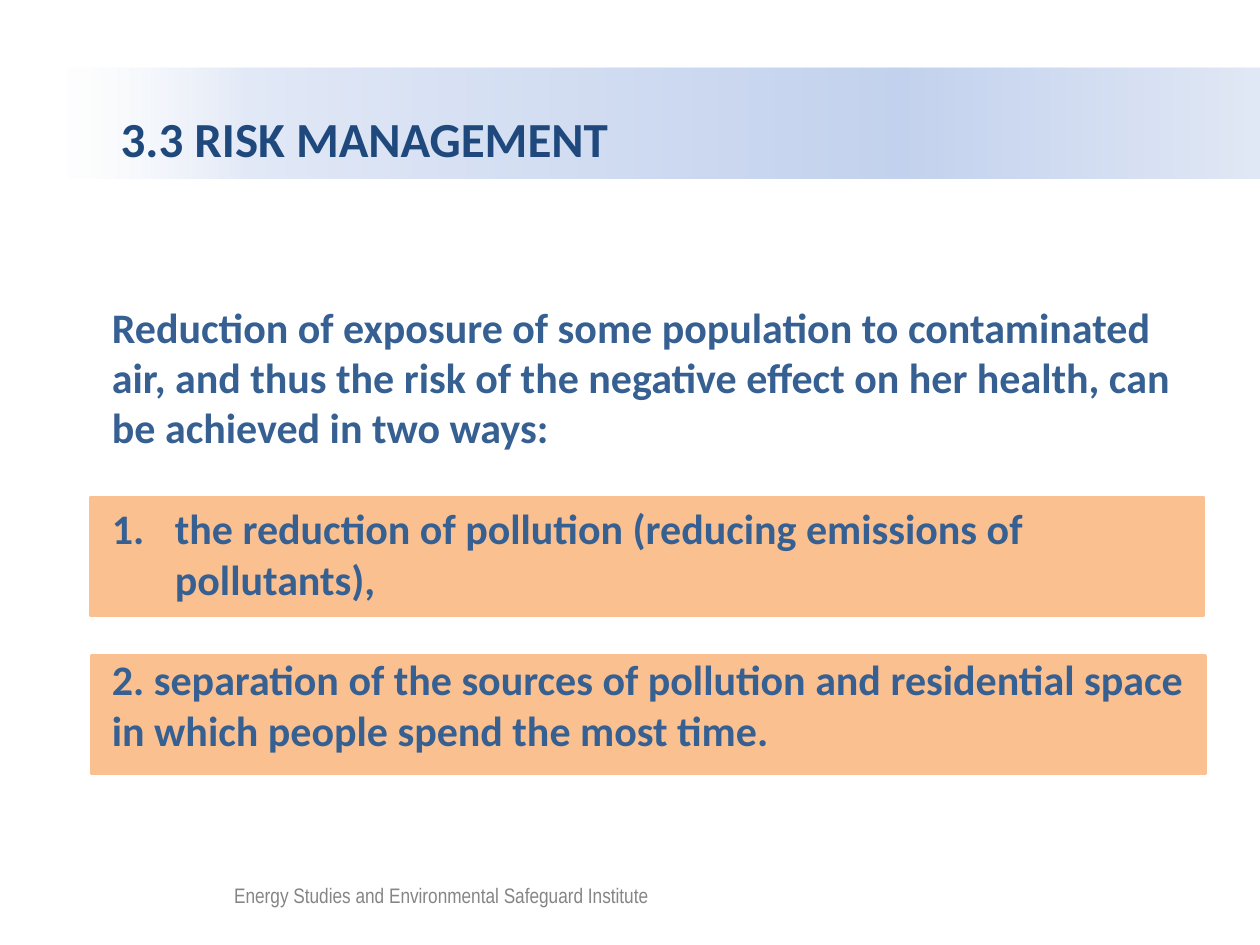
from dataclasses import dataclass

from lxml import etree
from pptx import Presentation
from pptx.dml.color import RGBColor
from pptx.enum import shapes, text
from pptx.oxml.ns import qn
from pptx.util import Pt


@dataclass(frozen=True)
class Theme:
    title_color: str = "1F497D"
    body_color: str = "376092"
    footer_color: str = "000000"
    highlight: str = "FAC090"
    veil: str = "FFFFFF"
    # position %, colour, opacity %
    banner: tuple = ((0, "FFFFFF", 52), (16, "E1E8F6", 100),
                     (70, "C2D1ED", 100), (100, "E1E8F5", 100))
    font: str = "Calibri"
    footer_font: str = "Arial Narrow"
    title_size: int = 28
    body_size: int = 24
    footer_size: int = 12


def set_opacity(color_element, percent):
    alpha = etree.SubElement(color_element, qn("a:alpha"))
    alpha.set("val", str(percent * 1000))


def write(paragraph, wording, *, font, size, color, bold=False,
          before=0, line_spacing=None, numbered=False):
    paragraph.alignment = text.PP_ALIGN.LEFT
    paragraph.space_before = Pt(before)
    if line_spacing:
        paragraph.line_spacing = line_spacing
    if numbered:
        properties = paragraph._p.get_or_add_pPr()
        properties.set("marL", str(Pt(36)))
        properties.set("indent", str(-Pt(36)))
        number = etree.SubElement(properties, qn("a:buAutoNum"))
        number.set("type", "arabicPeriod")
    run = paragraph.add_run()
    run.text = wording
    run.font.name = font
    run.font.size = Pt(size)
    run.font.bold = bold
    run.font.color.rgb = RGBColor.from_string(color)


class SlideBuilder:
    def __init__(self, slide, theme):
        self.slide = slide
        self.theme = theme

    def title(self, wording, left, top, width, height):
        banner = self.slide.shapes.title
        banner.left, banner.top = Pt(left), Pt(top)
        banner.width, banner.height = Pt(width), Pt(height)
        self.fade(banner)
        frame = banner.text_frame
        frame.margin_left = Pt(33)
        frame.vertical_anchor = text.MSO_ANCHOR.MIDDLE
        frame.auto_size = text.MSO_AUTO_SIZE.NONE
        write(frame.paragraphs[0], wording, font=self.theme.font,
              size=self.theme.title_size, color=self.theme.title_color,
              bold=True, line_spacing=1.5)

    def fade(self, banner):
        """Fill the banner with the theme's left-to-right gradient."""
        banner.fill.gradient()
        banner.fill.gradient_angle = 0
        stops = banner._element.spPr.find(qn("a:gradFill")).find(qn("a:gsLst"))
        for stop in list(stops):
            stops.remove(stop)
        for position, color, opacity in self.theme.banner:
            stop = etree.SubElement(stops, qn("a:gs"), pos=str(position * 1000))
            tint = etree.SubElement(stop, qn("a:srgbClr"), val=color)
            if opacity < 100:
                set_opacity(tint, opacity)

    def panel(self, left, top, width, height, color, opacity=100, border=0):
        panel = self.slide.shapes.add_shape(
            shapes.MSO_SHAPE.RECTANGLE, Pt(left), Pt(top), Pt(width), Pt(height))
        panel.shadow.inherit = False
        panel.fill.solid()
        panel.fill.fore_color.rgb = RGBColor.from_string(color)
        if opacity < 100:
            fill = panel._element.spPr.find(qn("a:solidFill"))
            set_opacity(fill[0], opacity)
        if border:
            panel.line.color.rgb = RGBColor.from_string(color)
            panel.line.width = Pt(border)
        else:
            panel.line.fill.background()

    def text_box(self, left, top, width, height, paragraphs, wrap=True, **style):
        """Each paragraph is its wording and a dict of its own format."""
        box = self.slide.shapes.add_textbox(Pt(left), Pt(top), Pt(width), Pt(height))
        frame = box.text_frame
        frame.word_wrap = wrap
        for index, (wording, own) in enumerate(paragraphs):
            paragraph = frame.add_paragraph() if index else frame.paragraphs[0]
            write(paragraph, wording, **style, **own)


def main():
    theme = Theme()
    deck = Presentation()
    deck.slide_width, deck.slide_height = Pt(720), Pt(540)
    builder = SlideBuilder(deck.slides.add_slide(deck.slide_layouts[5]), theme)

    builder.title("3.3 RISK MANAGEMENT", 36, 38.9, 684, 63.4)

    for left, top in ((52.5, 375), (51.8, 284.5)):
        builder.panel(left, top, 636, 67, theme.highlight, border=2)

    blank_line = 28.8
    builder.text_box(
        56.9, 168.5, 628.6, 269.3,
        [("Reduction of exposure of some population to contaminated air, and thus "
          "the risk of the negative effect on her health, can be achieved in two ways:",
          {}),
         ("the reduction of pollution (reducing emissions of pollutants),",
          {"before": blank_line, "numbered": True}),
         ("2. separation of the sources of pollution and residential space in which "
          "people spend the most time.", {"before": blank_line})],
        font=theme.font, size=theme.body_size, color=theme.body_color, bold=True)

    builder.text_box(
        126.7, 501, 262, 21.6,
        [("Energy Studies and Environmental Safeguard Institute", {})], wrap=False,
        font=theme.footer_font, size=theme.footer_size, color=theme.footer_color)
    builder.panel(41, 494, 359.3, 34.6, theme.veil, opacity=52)

    deck.save("out.pptx")


if __name__ == "__main__":
    main()
